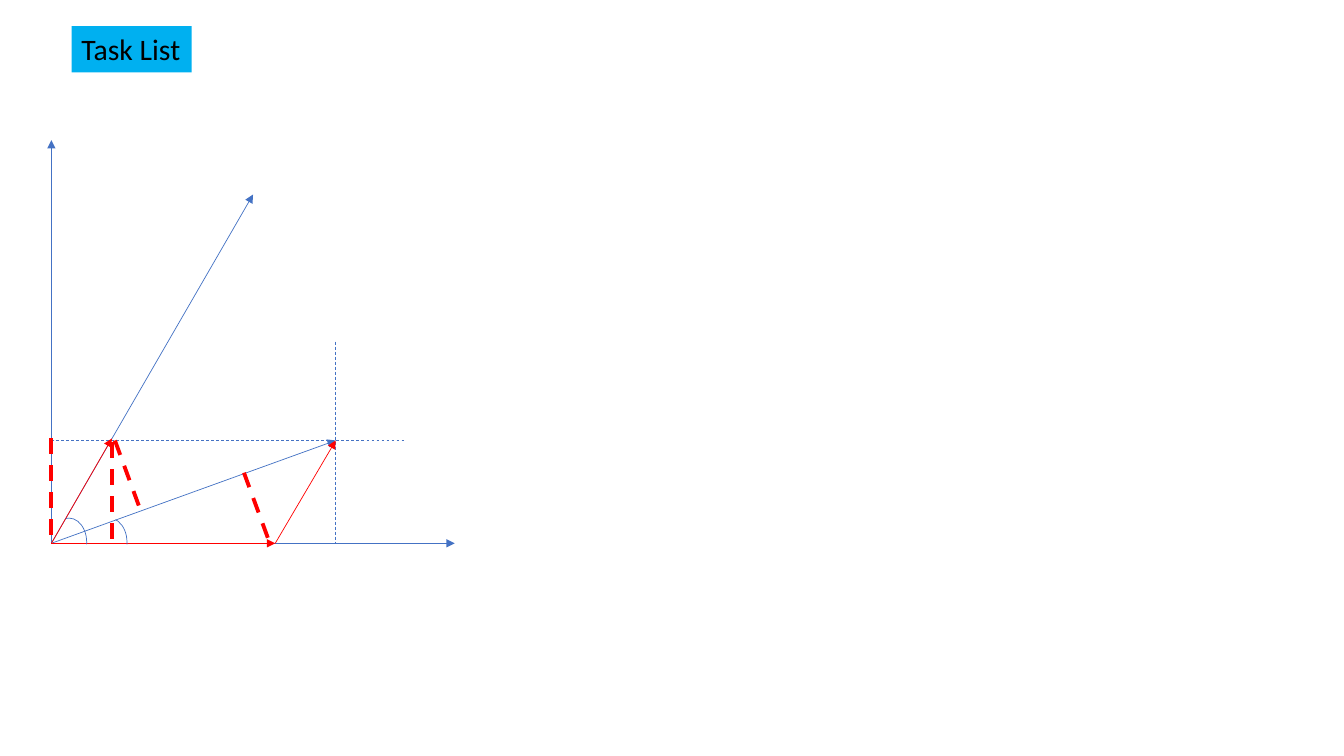
from dataclasses import dataclass

from lxml.etree import SubElement
from pptx import Presentation
from pptx.dml.color import RGBColor as Color
from pptx.enum.dml import MSO_LINE as Dash
from pptx.enum.shapes import MSO_CONNECTOR as Link, MSO_SHAPE as Shape
from pptx.enum.text import MSO_AUTO_SIZE as Fit
from pptx.oxml.ns import qn
from pptx.util import Inches, Pt


@dataclass(frozen=True)
class Theme:
    blue: str = "4472C4"
    red: str = "FF0000"
    sky: str = "00B0F0"
    black: str = "000000"
    font: str = "Calibri"
    size: float = 21.2
    thin: float = 0.5
    thick: float = 2.75


class Plot:
    """Draws on a one-inch grid: columns run right, rows run up from the corner."""

    def __init__(self, slide, theme, left, base):
        self.shapes = slide.shapes
        self.theme = theme
        self.left, self.base = left, base

    def spot(self, col, row):
        return Inches(self.left + col), Inches(self.base - row)

    def ink(self, line, color, width):
        line.color.rgb = Color.from_string(color)
        line.width = Pt(width)

    def line(self, start, end, color, width=None, dash=False):
        link = self.shapes.add_connector(
            Link.STRAIGHT, *self.spot(*start), *self.spot(*end))
        self.ink(link.line, color, width or self.theme.thin)
        if dash:
            link.line.dash_style = Dash.DASH
        SubElement(link._element.spPr, qn("a:effectLst"))
        return link

    def arrow(self, start, end, color):
        link = self.line(start, end, color)
        SubElement(link.line._get_or_add_ln(), qn("a:tailEnd"), type="triangle")

    def guide(self, start, end):
        self.line(start, end, self.theme.blue, dash=True)

    def drop(self, start, end):
        """Thick dashed projection line."""
        self.line(start, end, self.theme.red, self.theme.thick, dash=True)

    def arc(self, col, row, wide, high, turns):
        arc = self.shapes.add_shape(
            Shape.ARC, *self.spot(col, row), Inches(wide), Inches(high))
        arc.shadow.inherit = False
        arc.fill.background()
        self.ink(arc.line, self.theme.blue, self.theme.thin)
        for i, turn in enumerate(turns):
            arc.adjustments[i] = turn

    def title(self, text, col, row, wide, high):
        box = self.shapes.add_textbox(
            *self.spot(col, row), Inches(wide), Inches(high))
        box.fill.solid()
        box.fill.fore_color.rgb = Color.from_string(self.theme.sky)
        frame = box.text_frame
        frame.word_wrap = False
        frame.auto_size = Fit.SHAPE_TO_FIT_TEXT
        frame.text = text
        font = frame.paragraphs[0].runs[0].font
        font.name, font.size = self.theme.font, Pt(self.theme.size)
        font.color.rgb = Color.from_string(self.theme.black)


def main():
    deck = Presentation()
    deck.slide_width, deck.slide_height = Inches(13.33), Inches(7.5)
    theme = Theme()
    plot = Plot(deck.slides.add_slide(deck.slide_layouts[6]), theme, 0.51, 5.39)

    zero, total = (0, 0), (2.82, 1.02)
    flat, slant = (2.22, 0), (0.6, 1.04)
    span = 4

    plot.title("Task List", 0.2, 5.13, 1.19, 0.46)

    for end in ((span, 0), (2, 3.46), total):
        plot.arrow(zero, end, theme.blue)
    plot.guide((total[0], 2), (total[0], 0))
    plot.arrow(zero, (0, span), theme.blue)
    plot.guide((0, total[1]), (3.5, total[1]))

    for start, end in ((zero, slant), (flat, total), (zero, flat)):
        plot.arrow(start, end, theme.red)

    for col, turn in ((0, 157.53), (0.4, 171.07)):
        plot.arc(col, 0.25, 0.35, 0.48, (turn, 4.05))

    tall, lean = (0, 1.01), (0.26, 0.71)
    for (col, row), (run, fall) in (((0.6, 1), tall), ((0, 1.04), tall),
                                    ((1.91, 0.7), lean), ((0.63, 1.02), lean)):
        plot.drop((col, row), (col + run, row - fall))

    deck.save("out.pptx")


if __name__ == "__main__":
    main()
